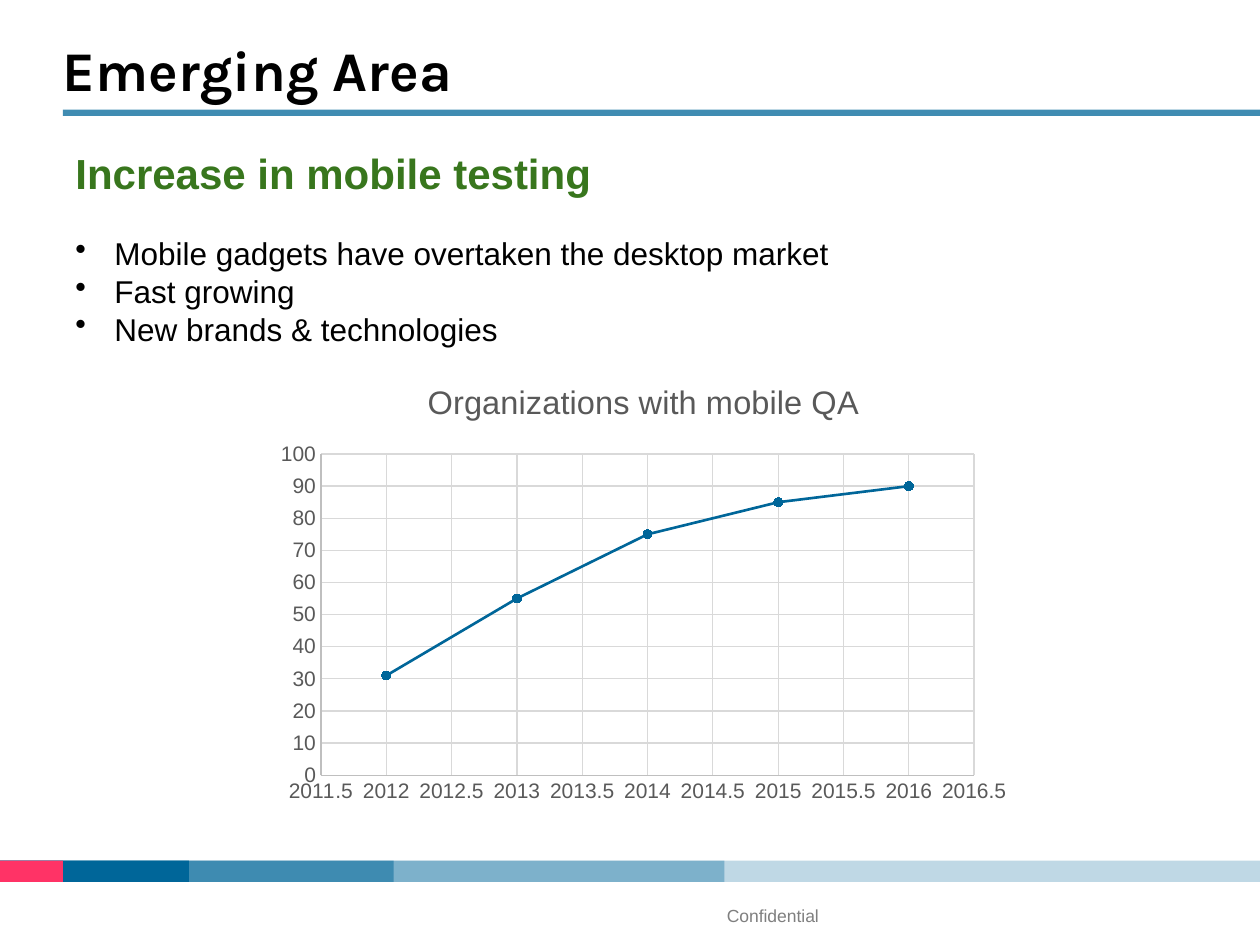
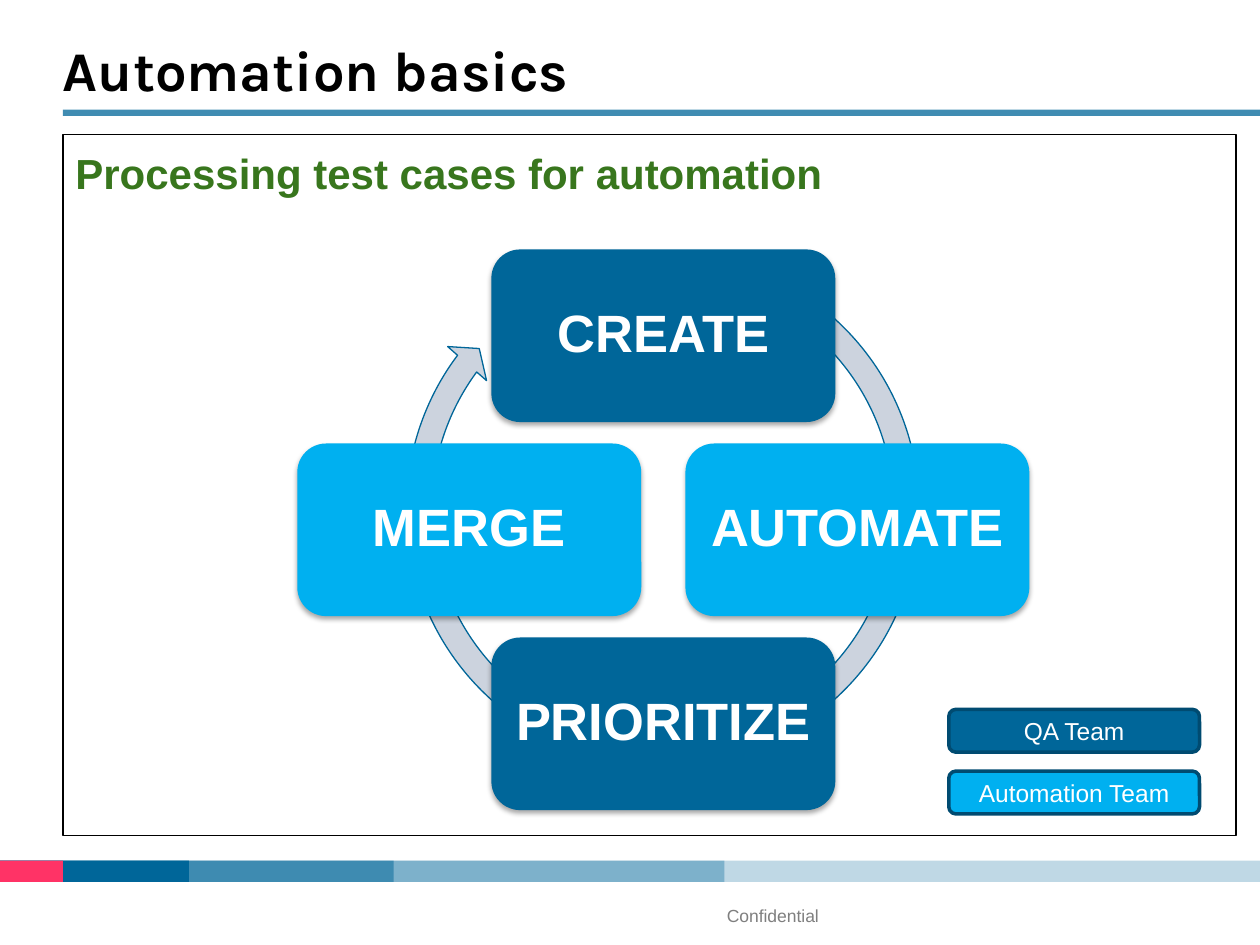
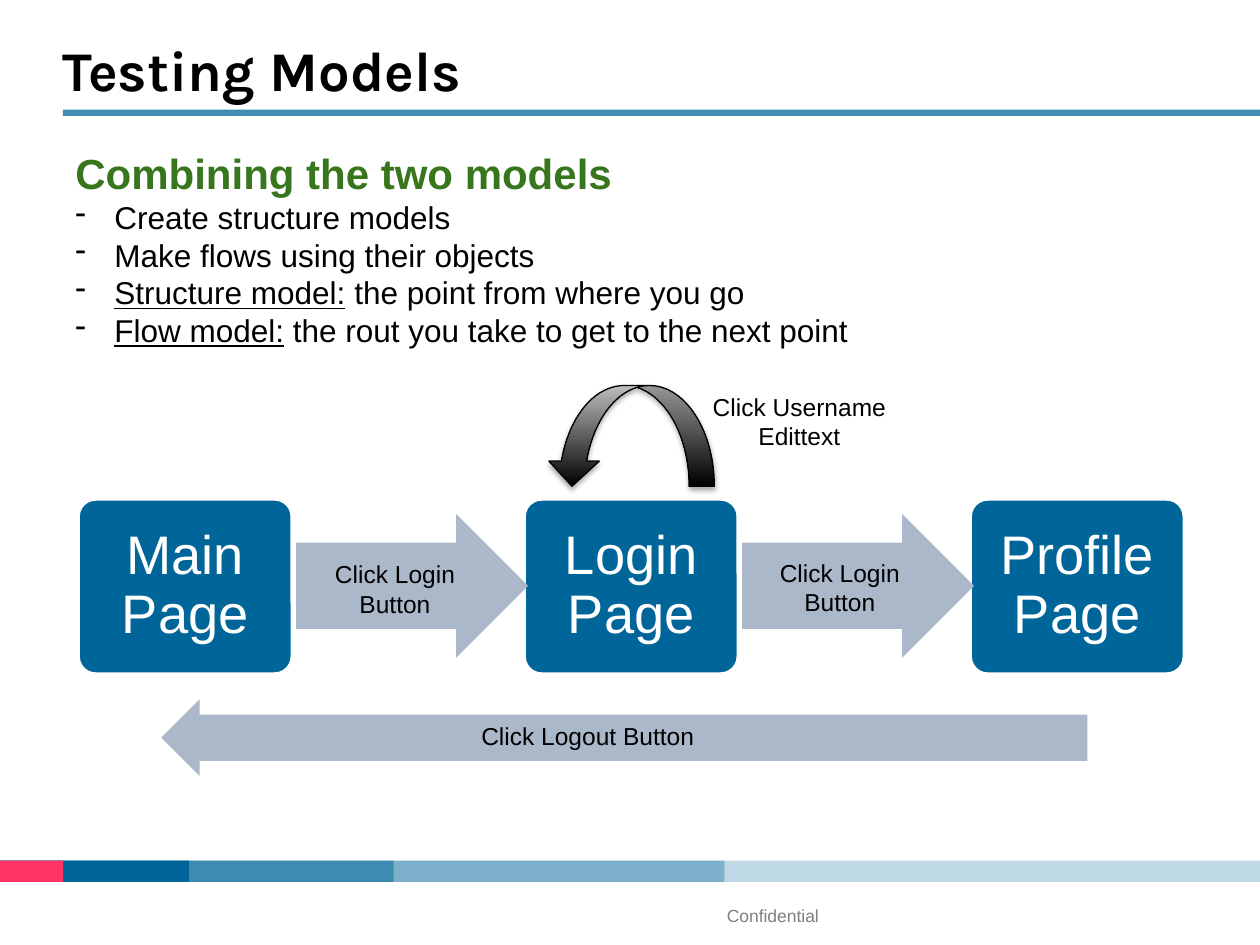
"""Build three slides on mobile testing, automation basics and testing models."""
from dataclasses import dataclass

from lxml import etree
from pptx import Presentation
from pptx import util as u
from pptx.chart.data import XyChartData
from pptx.dml.color import RGBColor
from pptx.enum import chart as charts, shapes, text
from pptx.oxml import parse_xml
from pptx.oxml.ns import nsdecls, qn


@dataclass(frozen=True)
class Theme:
    blue: str = "006699"
    sky: str = "00B0F0"
    navy: str = "004B71"
    pink: str = "FF3366"
    steel: str = "ABB8CA"
    mist: str = "CCD3DE"
    green: str = "38761D"
    marker_green: str = "00B050"
    black: str = "000000"
    white: str = "FFFFFF"
    silver: str = "BDBDBD"
    footer: str = "7F7F7F"
    chart_text: str = "595959"
    axis: str = "BFBFBF"
    grid: str = "D9D9D9"
    title_font: str = "Karla"
    body_font: str = "Arial"
    title: float = 32
    page: float = 31
    step: float = 30
    heading: float = 24
    chart_title: float = 18.6
    body: float = 18
    label: float = 14
    tick: float = 12
    small: float = 10


theme = Theme()
PRESET = shapes.MSO_SHAPE
LEFT, CENTER = text.PP_ALIGN.LEFT, text.PP_ALIGN.CENTER
TOP, MIDDLE = text.MSO_ANCHOR.TOP, text.MSO_ANCHOR.MIDDLE
rgb = RGBColor.from_string

deck = Presentation()
deck.slide_width, deck.slide_height = u.Inches(10), u.Inches(7.5)
COLUMN, ROW = deck.slide_width / 20, deck.slide_height / 15


def place(slide, preset, cells, fill=None, alpha=None, line=None, weight=0.75, shadow=False):
    """Put a preset shape, or a text box when preset is None, on the grid."""
    box = [round(cell * unit) for cell, unit in zip(cells, (COLUMN, ROW) * 2)]
    if preset is None:
        item = slide.shapes.add_textbox(*box)
    else:
        item = slide.shapes.add_shape(preset, *box)
        item.shadow.inherit = False
    if fill:
        item.fill.solid()
        item.fill.fore_color.rgb = rgb(fill)
    if alpha:
        color = item.fill._xPr.find(".//" + qn("a:srgbClr"))
        etree.SubElement(color, qn("a:alpha"), val=str(alpha * 1000))
    if line:
        item.line.color.rgb = rgb(line)
        item.line.width = u.Pt(weight)
    else:
        item.line.fill.background()
    if shadow:
        effects = item._element.spPr.find(qn("a:effectLst"))
        effects.append(parse_xml(
            f'<a:outerShdw {nsdecls("a")} blurRad="39370" dist="22860" dir="5400000" rotWithShape="0">'
            f'<a:srgbClr val="{theme.black}"><a:alpha val="35000"/></a:srgbClr></a:outerShdw>'))
    return item


def write(item, lines, size, color=theme.black, bold=False, align=CENTER, anchor=TOP,
          insets=(0.1, 0.05, 0.1, 0.05), font=theme.body_font, spacing=None, bullet=None):
    """Add paragraphs, each a string or an (underlined, plain) pair."""
    frame = item.text_frame
    frame.word_wrap, frame.vertical_anchor = True, anchor
    frame.margin_left, frame.margin_top, frame.margin_right, frame.margin_bottom = map(u.Inches, insets)
    for content in lines:
        paragraph = frame.add_paragraph() if frame.text else frame.paragraphs[0]
        if isinstance(content, tuple):
            for part, underlined in zip(content, (True, False)):
                run = paragraph.add_run()
                run.text, run.font.underline = part, underlined
        else:
            paragraph.text = content
        paragraph.alignment = align
        paragraph.line_spacing = spacing
        style = paragraph.font
        style.name, style.size, style.bold = font, u.Pt(size), bold
        style.color.rgb = rgb(color)
        if bullet:
            properties = paragraph._p.get_or_add_pPr()
            properties.set("marL", str(u.Inches(0.31)))
            properties.set("indent", str(u.Inches(-0.31)))
            mark = etree.Element(qn("a:buChar"), char=bullet)
            properties.find(qn("a:defRPr")).addprevious(mark)


contents = [
    ("Emerging Area", "Increase in mobile testing", "•", 20.7, None,
     ["Mobile gadgets have overtaken the desktop market", "Fast growing", "New brands & technologies"]),
    ("Automation basics", "Processing test cases for automation", None, 0, theme.black, []),
    ("Testing Models", "Combining the two models", "-", 0, None,
     ["Create structure models", "Make flows using their objects",
      ("Structure model:", " the point from where you go"),
      ("Flow model:", " the rout you take to get to the next point")]),
]
bands = [(20, theme.blue, 25), (11.5, theme.blue, 34), (6.25, theme.blue, 50),
         (3, theme.blue, None), (1, theme.pink, None)]

for title, heading, bullet, gap, border, points in contents:
    slide = deck.slides.add_slide(deck.slide_layouts[6])
    for width, color, alpha in bands:
        place(slide, PRESET.RECTANGLE, (0, 13.66, width, 0.34), color, alpha)
    write(place(slide, None, (11.34, 14.26, 6.66, 0.74)), ["Confidential"], theme.small,
          theme.footer, align=LEFT, insets=(0.1, 0.05, 0.1, 0))
    place(slide, PRESET.RECTANGLE, (1, 1.74, 19, 0.1), theme.blue, 75)
    write(place(slide, None, (1, 0.6, 19, 1.24)), [title], theme.title, bold=True, align=LEFT,
          insets=(0, 0.05, 0.1, 0.15), font=theme.title_font, spacing=0.88)
    body = place(slide, None, (1, 2.14, 18.62, 11.12), line=border)
    write(body, [heading], theme.heading, theme.green, True, LEFT, insets=(0.1,) * 4)
    body.text_frame.paragraphs[0].space_after = u.Pt(gap)
    write(body, points, theme.body, align=LEFT, insets=(0.1,) * 4, bullet=bullet)

emerging, automation, models = deck.slides

survey = XyChartData()
organizations = survey.add_series("Organizations with mobile QA")
for year, share in zip(range(2012, 2017), (31, 55, 75, 85, 90)):
    organizations.add_data_point(year, share)
chart = emerging.shapes.add_chart(
    charts.XL_CHART_TYPE.XY_SCATTER_SMOOTH, round(4.26 * COLUMN), round(5.7 * ROW),
    round(11.92 * COLUMN), round(7.18 * ROW), survey).chart
chart.has_legend = False
chart.font.name, chart.font.size = theme.body_font, u.Pt(theme.small)
chart.has_title = True
chart.chart_title.include_in_layout = False
caption = chart.chart_title.text_frame.paragraphs[0]
caption.text = "Organizations with mobile QA"
caption.font.name, caption.font.size, caption.font.bold = theme.body_font, u.Pt(theme.chart_title), False
caption.font.color.rgb = rgb(theme.chart_text)

scales = [(chart.category_axis, 2011.5, 2016.5, 0.5), (chart.value_axis, 0, 100, 10)]
for axis, low, high, step in scales:
    axis.minimum_scale, axis.maximum_scale, axis.major_unit = low, high, step
    axis.major_tick_mark = axis.minor_tick_mark = charts.XL_TICK_MARK.NONE
    axis.has_major_gridlines = True
    for stroke, color in ((axis.format.line, theme.axis), (axis.major_gridlines.format.line, theme.grid)):
        stroke.color.rgb, stroke.width = rgb(color), u.Pt(0.75)
    labels = axis.tick_labels
    labels.number_format, labels.number_format_is_linked = "General", False
    labels.font.name, labels.font.size = theme.body_font, u.Pt(theme.tick)
    labels.font.color.rgb = rgb(theme.chart_text)

plot = chart.plots[0]
plot.vary_by_categories = False
curve = plot.series[0]
curve.smooth = True
curve.format.line.color.rgb, curve.format.line.width = rgb(theme.blue), u.Pt(1.5)
markers = [(curve.marker, theme.blue)]
markers += [(curve.points[index].marker, theme.marker_green) for index in (3, 4)]
for marker, color in markers:
    marker.style, marker.size = charts.XL_MARKER_STYLE.CIRCLE, 5
    marker.format.fill.solid()
    marker.format.fill.fore_color.rgb = marker.format.line.color.rgb = rgb(color)

area = chart._chartSpace.find(".//" + qn("c:plotArea"))
for old in area.findall(qn("c:layout")):
    area.remove(old)
frame_values = [("xMode", "edge"), ("yMode", "edge"), ("x", 0.07), ("y", 0.21), ("w", 0.87), ("h", 0.71)]
layout = "".join(f'<c:{tag} val="{value}"/>' for tag, value in frame_values)
area.insert(0, parse_xml(f'<c:layout {nsdecls("c")}><c:manualLayout><c:layoutTarget val="inner"/>'
                         f'{layout}</c:manualLayout></c:layout>'))

cycle = place(automation, PRESET.CIRCULAR_ARROW, (6.24, 3.8, 8.56, 8.56), theme.mist, line=theme.blue)
for index, value in enumerate((0.047, 2.729, 129.974, 179.187, 0.048)):
    cycle.adjustments[index] = value
steps = [("CREATE", 0, -1, theme.blue), ("AUTOMATE", 1, 0, theme.sky),
         ("PRIORITIZE", 0, 1, theme.blue), ("MERGE", -1, 0, theme.sky)]
for name, across, down, color in steps:
    step = place(automation, PRESET.ROUNDED_RECTANGLE,
                 (7.8 + 3.08 * across, 7.04 + 3.08 * down, 5.46, 2.74), color, shadow=True)
    write(step, [name], theme.step, theme.white, True, anchor=MIDDLE, insets=(0.1,) * 4, spacing=0.9)
for order, (team, color) in enumerate((("QA Team", theme.blue), ("Automation Team", theme.sky))):
    key = place(automation, PRESET.ROUNDED_RECTANGLE, (15.06, 11.26 + 0.98 * order, 3.98, 0.68),
                color, line=theme.navy, weight=2)
    write(key, [team], theme.label, theme.white, anchor=MIDDLE)

PITCH = 7.08
for order, page in enumerate(("Main Page", "Login Page", "Profile Page")):
    state = place(models, PRESET.ROUNDED_RECTANGLE, (1.24 + PITCH * order, 7.92, 3.4, 2.78),
                  theme.blue, line=theme.white, weight=2)
    state.adjustments[0] = 0.1
    write(state, [page], theme.page, theme.white, anchor=MIDDLE, insets=(0.13,) * 4, spacing=0.9)
transitions = [(PRESET.RIGHT_ARROW, (4.7 + PITCH * order, 8.16, 3.68, 2.28)) for order in range(2)]
transitions.append((PRESET.LEFT_ARROW, (2.56, 11.1, 14.7, 1.22)))
for preset, cells in transitions:
    transition = place(models, preset, cells, theme.steel)
    transition.adjustments[0], transition.adjustments[1] = 0.6, 0.5

loop = place(models, PRESET.CURVED_DOWN_ARROW, (8.68, 6.12, 2.66, 1.6), line=theme.black, shadow=True)
loop._element.spPr.find(qn("a:xfrm")).set("flipH", "1")
loop.fill.gradient()
loop.fill.gradient_angle = 90
for stop, (position, color) in zip(loop.fill.gradient_stops, ((0, theme.black), (1, theme.silver))):
    stop.position, stop.color.rgb = position, rgb(color)

actions = [("Click Login Button", (4.82, 8.78, 2.9, 1.14)), ("Click Login Button", (11.88, 8.76, 2.9, 1.14)),
           ("Click Logout Button", (6.98, 11.34, 4.7, 0.68)), ("Click Username Edittext", (11.09, 6.12, 3.2, 1.14))]
for action, cells in actions:
    write(place(models, None, cells), [action], theme.label)

deck.save("out.pptx")
